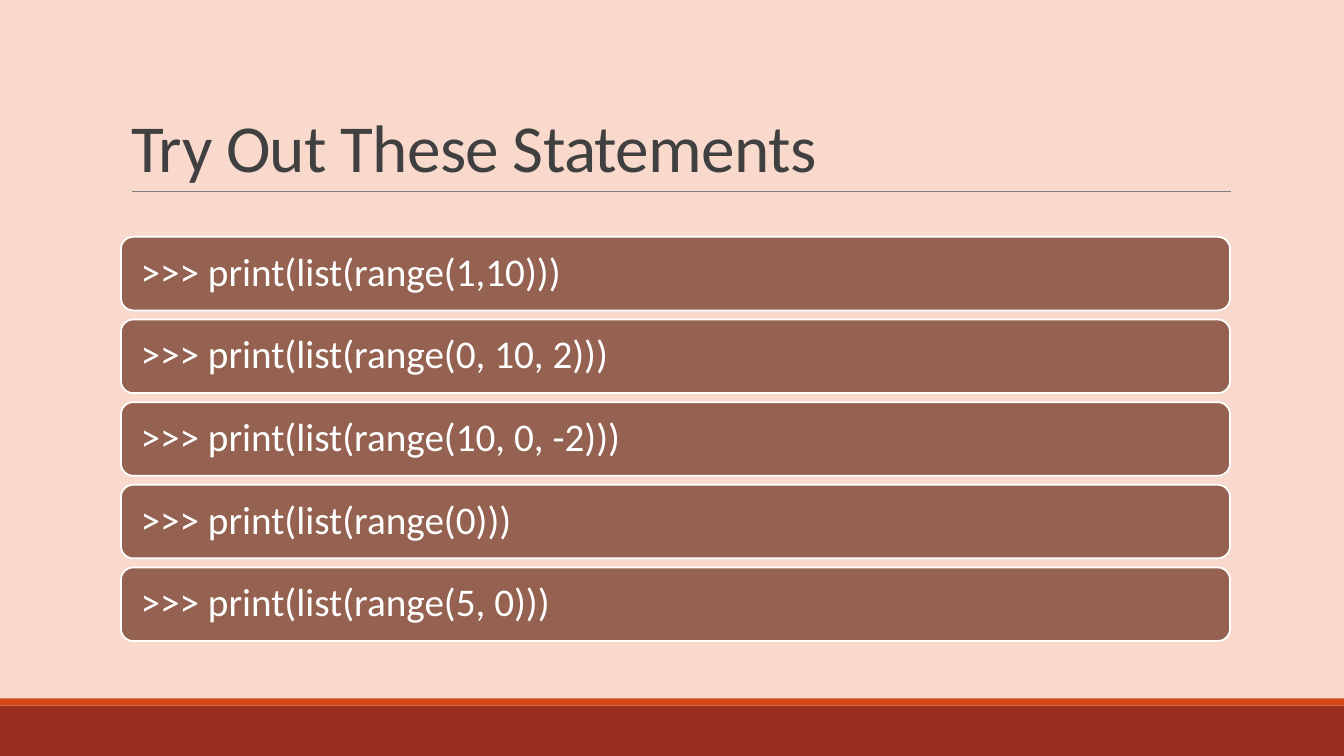
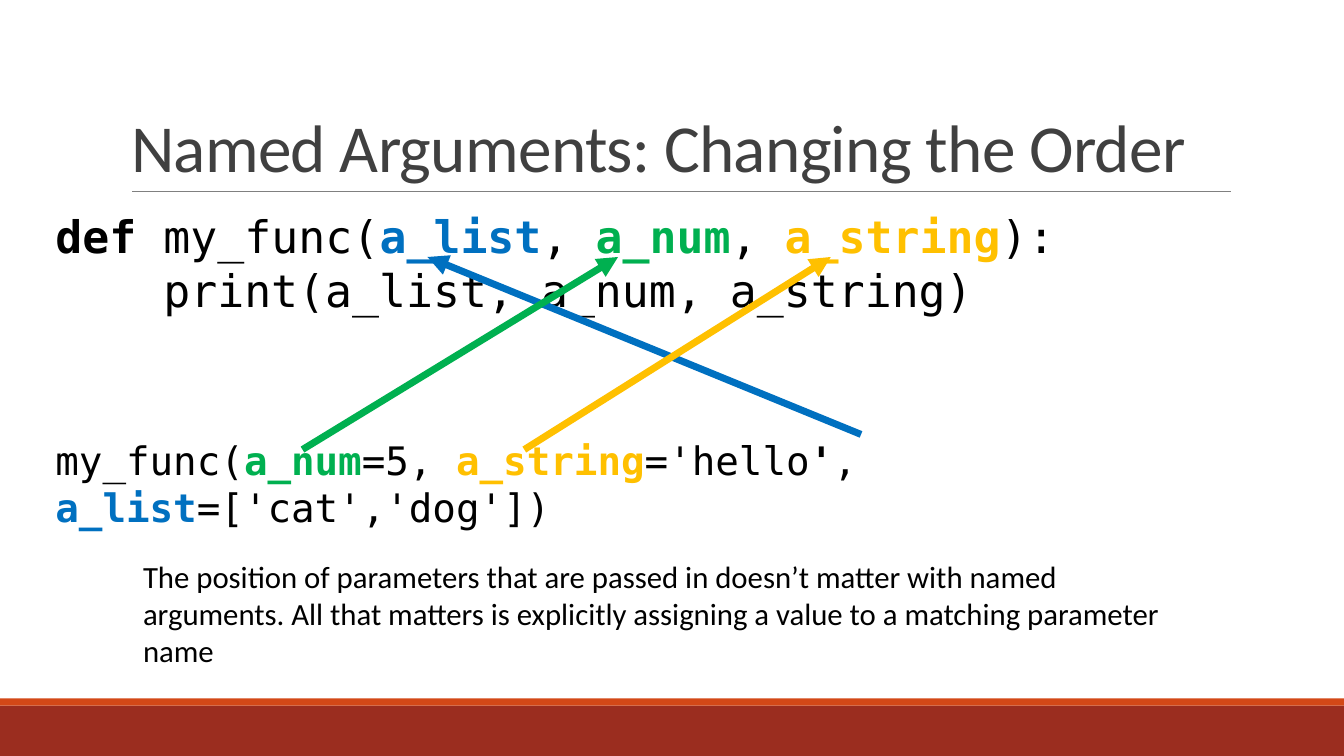
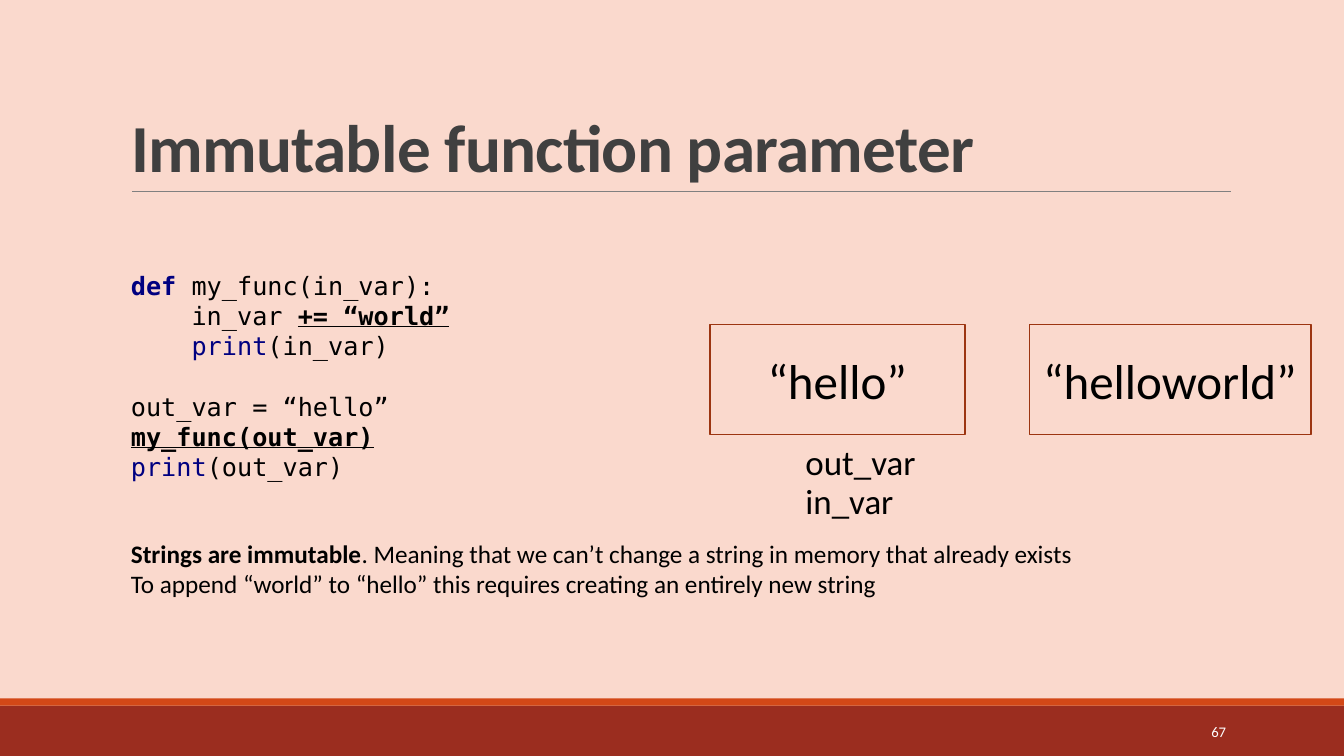
from dataclasses import dataclass

from lxml.etree import SubElement
from pptx import Presentation
from pptx.dml.color import RGBColor
from pptx.enum.shapes import MSO_CONNECTOR as Connector, MSO_SHAPE as Shape
from pptx.enum.text import MSO_ANCHOR as Anchor, MSO_AUTO_SIZE as AutoSize, PP_ALIGN as Align
from pptx.oxml.ns import qn
from pptx.util import Inches, Pt


@dataclass(frozen=True)
class Theme:
    peach: str = "FAD9CD"
    white: str = "FFFFFF"
    black: str = "000000"
    brick: str = "9B2D1F"
    orange: str = "D34817"
    rule: str = "808080"
    title: str = "404040"
    bar: str = "956251"
    outline: str = "9C3511"
    blue: str = "0070C0"
    green: str = "00B050"
    gold: str = "FFC000"
    navy: str = "000080"
    sans: str = "Calibri"
    mono: str = "DejaVu Sans Mono"
    title_size: float = 48
    def_size: float = 32
    bar_size: float = 28
    call_size: float = 28
    value_size: float = 35
    name_size: float = 25
    note_size: float = 22
    small_size: float = 18
    number_size: float = 10.5


THEME = Theme()
WIDTH, HEIGHT = 13.33, 7.5
LEFT, CONTENT_WIDTH = 1.2, 11
TITLE_AREA = (LEFT, 0.31, CONTENT_WIDTH, 1.59)
BANDS = [((0, 7, WIDTH, 0.5), THEME.brick), ((0, 6.93, WIDTH, 0.07), THEME.orange)]
RULE = ((1.31, 1.9), (12.21, 1.9))

SPAN_STYLES = {
    "plain": {},
    "bold": {"bold": True},
    "strong": {"bold": True, "underline": True},
    "keyword": {"bold": True, "color": THEME.navy},
    "builtin": {"color": THEME.navy},
    "list": {"bold": True, "color": THEME.blue},
    "num": {"bold": True, "color": THEME.green},
    "string": {"bold": True, "color": THEME.gold},
}

STATEMENTS = [
    ">>> print(list(range(1,10)))",
    ">>> print(list(range(0, 10, 2)))",
    ">>> print(list(range(10, 0, -2)))",
    ">>> print(list(range(0)))",
    ">>> print(list(range(5, 0)))",
]

# A paragraph is a list of (text, style) spans.
NAMED_DEF = [
    [("def ", "bold"), ("my_func(", "plain"), ("a_list", "list"), (", ", "plain"),
     ("a_num", "num"), (", ", "plain"), ("a_string", "string"), ("):", "plain")],
    [("    print(a_list, a_num, a_string)", "plain")],
]
NAMED_CALL = [
    ("my_func(", "plain"), ("a_num", "num"), ("=5, ", "plain"), ("a_string", "string"),
    ("='hello", "plain"), ("'", "bold"), (", ", "plain"), ("a_list", "list"),
    ("=['cat','dog'])", "plain"),
]
ARGUMENT_ARROWS = [
    ((8.54, 4.31), (4.24, 2.55), THEME.blue),
    ((3, 4.46), (6.13, 2.55), THEME.green),
    ((5.2, 4.46), (8.24, 2.55), THEME.gold),
]
NAMED_NOTE = (
    "The position of parameters that are passed in doesn’t matter with named arguments. "
    "All that matters is explicitly assigning a value to a matching parameter name"
)

IMMUTABLE_DEF = [
    [("def ", "keyword"), ("my_func(in_var):", "plain")],
    [("    in_var ", "plain"), ("+= “world”", "strong")],
    [("    ", "plain"), ("print", "builtin"), ("(in_var)", "plain")],
]
IMMUTABLE_CALL = [
    [("out_var = “hello”", "plain")],
    [("my_func(out_var)", "strong")],
    [("print", "builtin"), ("(out_var)", "plain")],
]
MEMORY_VALUES = [("“hello”", 7.04, 2.53), ("“helloworld”", 10.21, 2.79)]
MEMORY_NAMES = [("out_var", 4.32), ("in_var", 4.71)]
IMMUTABLE_NOTE = [
    [("Strings are immutable", "bold"),
     (". Meaning that we can’t change a string in memory that already exists", "plain")],
    [("To append “world” to “hello” this requires creating an entirely new string", "plain")],
]


def rgb(color):
    return RGBColor.from_string(color)


def inches(values):
    return [Inches(value) for value in values]


def apply(target, formats):
    for name, value in formats.items():
        setattr(target, name, value)


def write(frame, paras, size, font=THEME.sans, color=THEME.black, para_format=None, **frame_format):
    """Fill a text frame; a paragraph is a string or a list of spans."""
    apply(frame, {"word_wrap": True, "auto_size": AutoSize.NONE,
                  "vertical_anchor": Anchor.TOP, **frame_format})
    for index, spans in enumerate(paras):
        para = frame.add_paragraph() if index else frame.paragraphs[0]
        apply(para, {"alignment": Align.LEFT, **(para_format or {})})
        for text, style in [(spans, "plain")] if isinstance(spans, str) else spans:
            span = para.add_run()
            span.text = text
            look = {"bold": False, "color": color, **SPAN_STYLES[style]}
            span.font.color.rgb = rgb(look.pop("color"))
            apply(span.font, {"name": font, "size": Pt(size), **look})
    return frame


def add_text(page, area, paras, size, **formats):
    return write(page.shapes.add_textbox(*inches(area)).text_frame, paras, size, **formats)


def add_box(page, area, fill=None, line=None, kind=Shape.RECTANGLE):
    box = page.shapes.add_shape(kind, *inches(area))
    box.shadow.inherit = False
    if fill:
        box.fill.solid()
        box.fill.fore_color.rgb = rgb(fill)
    else:
        box.fill.background()
    if line:
        box.line.color.rgb = rgb(line)
        box.line.width = Pt(1.25)
    else:
        box.line.fill.background()
    return box


def add_line(page, start, end, color, width, arrow=False):
    line = page.shapes.add_connector(Connector.STRAIGHT, *inches(start + end))
    line.line.color.rgb = rgb(color)
    line.line.width = Pt(width)
    if arrow:
        SubElement(line.line._get_or_add_ln(), qn("a:tailEnd"), type="triangle")
    SubElement(line.element.spPr, qn("a:effectLst"))
    return line


def share_frame(page):
    """Draw the bands and the title rule, then hand them to the page's layout."""
    parts = [add_box(page, area, fill) for area, fill in BANDS]
    parts.append(add_line(page, *RULE, THEME.rule, 0.5))
    for part in parts:
        page.slide_layout.shapes.element.append(part.element)


def add_page(deck, title, background, style="plain"):
    page = deck.slides.add_slide(deck.slide_layouts[5])
    page.background.fill.solid()
    page.background.fill.fore_color.rgb = rgb(background)
    holder = page.shapes.title
    apply(holder, dict(zip(("left", "top", "width", "height"), inches(TITLE_AREA))))
    frame = write(holder.text_frame, [[(title, style)]], THEME.title_size, color=THEME.title,
                  para_format={"line_spacing": 0.85}, vertical_anchor=Anchor.BOTTOM)
    frame.paragraphs[0].runs[0].font._element.set("spc", "-50")
    return page


def statements_page(deck):
    page = add_page(deck, "Try Out These Statements", THEME.peach)
    share_frame(page)
    top, pitch, height = 2.35, 0.82, 0.73
    for row, statement in enumerate(STATEMENTS):
        bar = add_box(page, (LEFT, top + row * pitch, CONTENT_WIDTH, height),
                      THEME.bar, THEME.white, Shape.ROUNDED_RECTANGLE)
        write(bar.text_frame, [statement], THEME.bar_size, color=THEME.white,
              para_format={"line_spacing": 0.9}, vertical_anchor=Anchor.MIDDLE,
              margin_left=Inches(0.16))


def named_arguments_page(deck):
    page = add_page(deck, "Named Arguments: Changing the Order", THEME.white)
    code = add_text(page, (0.55, 2.02, 12.4, 4.4), NAMED_DEF + [NAMED_CALL], THEME.def_size,
                    font=THEME.mono, margin_left=0, margin_right=0)
    call = code.paragraphs[-1]
    call.space_before = Pt(86)
    for span in call.runs:
        span.font.size = Pt(THEME.call_size)
    for start, end, color in ARGUMENT_ARROWS:
        add_line(page, start, end, color, 5, arrow=True)
    add_text(page, (1.32, 5.48, 10.32, 1.21), [NAMED_NOTE], THEME.note_size)


def immutable_page(deck):
    page = add_page(deck, "Immutable function parameter", THEME.peach, "bold")
    add_text(page, (10.83, 7.06, 1.43, 0.4), ["67"], THEME.number_size, color=THEME.white,
             para_format={"alignment": Align.RIGHT}, vertical_anchor=Anchor.MIDDLE)
    code = add_text(page, (LEFT, 2.62, 4.66, 2.22), IMMUTABLE_DEF + IMMUTABLE_CALL,
                    THEME.small_size, font=THEME.mono, vertical_anchor=Anchor.MIDDLE)
    code.paragraphs[len(IMMUTABLE_DEF)].space_before = Pt(21.5)
    for value, left, width in MEMORY_VALUES:
        box = add_box(page, (left, 3.22, width, 1.09), line=THEME.outline)
        write(box.text_frame, [value], THEME.value_size,
              para_format={"alignment": Align.CENTER}, vertical_anchor=Anchor.MIDDLE)
    for name, top in MEMORY_NAMES:
        add_text(page, (7.89, top, 1.5, 0.52), [name], THEME.name_size)
    add_text(page, (LEFT, 5.29, 11.06, 0.71), IMMUTABLE_NOTE, THEME.small_size)


def main():
    deck = Presentation()
    deck.slide_width, deck.slide_height = inches((WIDTH, HEIGHT))
    for build in (statements_page, named_arguments_page, immutable_page):
        build(deck)
    deck.save("out.pptx")


if __name__ == "__main__":
    main()
